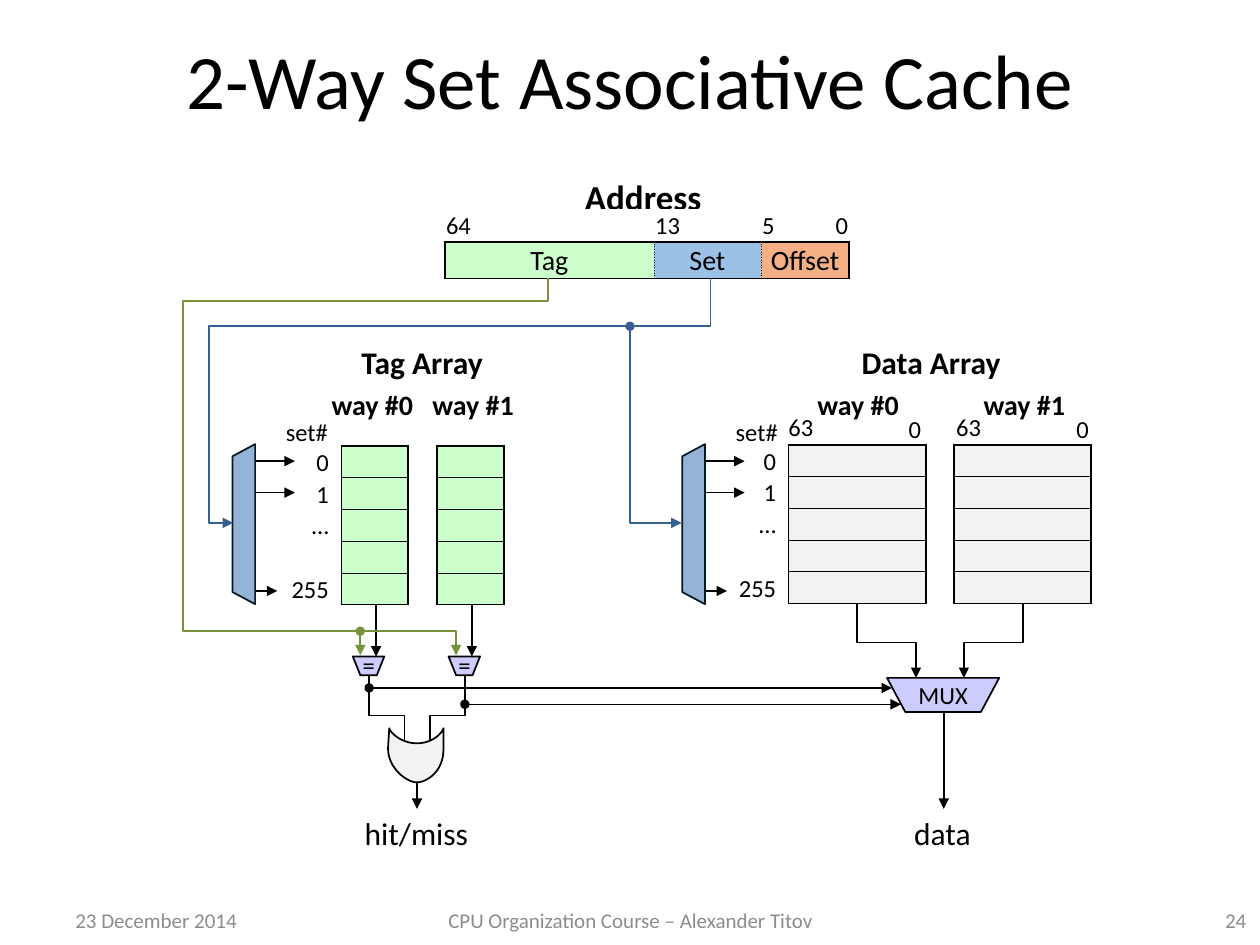
from dataclasses import dataclass
from typing import Optional

from lxml.etree import SubElement
from pptx import Presentation
from pptx.dml.color import RGBColor
from pptx.enum.shapes import MSO_CONNECTOR, MSO_SHAPE
from pptx.enum.text import MSO_ANCHOR, PP_ALIGN
from pptx.oxml.ns import qn
from pptx.util import Emu, Inches, Pt

BLACK = RGBColor(0x00, 0x00, 0x00)
WHITE = RGBColor(0xFF, 0xFF, 0xFF)
GREY = RGBColor(0x8C, 0x8C, 0x8C)
PALE = RGBColor(0xF2, 0xF2, 0xF2)
MINT = RGBColor(0xCC, 0xFF, 0xCC)
SKY = RGBColor(0x9B, 0xC2, 0xE6)
ORANGE = RGBColor(0xF4, 0xB0, 0x84)
LILAC = RGBColor(0xCC, 0xCC, 0xFF)
STEEL = RGBColor(0x95, 0xB3, 0xD7)
NAVY = RGBColor(0x06, 0x19, 0x22)
GREEN = RGBColor(0x77, 0x93, 0x3C)
BLUE = RGBColor(0x37, 0x60, 0x92)

FONT = "Calibri"
COLS, ROWS = 100, 75
LEFT, CENTER, RIGHT = PP_ALIGN.LEFT, PP_ALIGN.CENTER, PP_ALIGN.RIGHT
TOP, MIDDLE, BOTTOM = MSO_ANCHOR.TOP, MSO_ANCHOR.MIDDLE, MSO_ANCHOR.BOTTOM
SOLID, HAIR, DOTS = (1, "solid"), (0.5, "solid"), (0.5, "sysDot")

prs = Presentation()
prs.slide_width, prs.slide_height = Inches(10), Inches(7.5)
s = prs.slides.add_slide(prs.slide_layouts[6])


@dataclass
class Label:
    text: str
    x: float
    y: float
    w: float
    h: float
    size: float = 14
    align: PP_ALIGN = LEFT
    bold: bool = False
    anchor: MSO_ANCHOR = TOP
    wrap: bool = False
    color: RGBColor = BLACK


@dataclass
class Wire:
    points: list
    color: RGBColor = BLACK
    width: float = 1
    arrow: bool = True


@dataclass
class Field:
    text: str
    first: int
    last: int
    fill: RGBColor
    left: tuple
    right: tuple


def gx(c: float) -> Emu:
    return Emu(round(prs.slide_width * c / COLS))


def gy(r: float) -> Emu:
    return Emu(round(prs.slide_height * r / ROWS))


def box(x: float, y: float, w: float, h: float) -> tuple:
    return gx(x), gy(y), gx(w), gy(h)


def add_run(p, text: str, size: float, color: RGBColor = BLACK, bold: bool = False) -> None:
    r = p.add_run()
    r.text = text
    r.font.name, r.font.size, r.font.bold = FONT, Pt(size), bold
    r.font.color.rgb = color


def draw_label(b: Label) -> None:
    tf = s.shapes.add_textbox(*box(b.x, b.y, b.w, b.h)).text_frame
    tf.word_wrap, tf.vertical_anchor = b.wrap, b.anchor
    p = tf.paragraphs[0]
    p.alignment = b.align
    add_run(p, b.text, b.size, b.color, b.bold)


def draw_wire(wire: Wire) -> None:
    pts = [(gx(x), gy(y)) for x, y in wire.points]
    if len(pts) == 2:
        sp = s.shapes.add_connector(MSO_CONNECTOR.STRAIGHT, *pts[0], *pts[1])
        SubElement(sp.element.spPr, qn("a:effectLst"))
    else:
        fb = s.shapes.build_freeform(*pts[0])
        fb.add_line_segments(pts[1:], close=False)
        sp = fb.convert_to_shape()
        sp.fill.background()
        sp.shadow.inherit = False
    sp.line.color.rgb, sp.line.width = wire.color, Pt(wire.width)
    if wire.arrow:
        SubElement(sp.element.spPr.find(qn("a:ln")), qn("a:tailEnd"), type="triangle")


def paint(sp, fill: RGBColor, line: RGBColor) -> None:
    sp.shadow.inherit = False
    sp.fill.solid()
    sp.fill.fore_color.rgb = fill
    sp.line.color.rgb, sp.line.width = line, Pt(1)


def draw_trapezoid(x: float, y: float, w: float, h: float, turn: int, adj: float,
                   fill: RGBColor, line: RGBColor = BLACK) -> None:
    sp = s.shapes.add_shape(MSO_SHAPE.TRAPEZOID, *box(x, y, w, h))
    sp.rotation, sp.adjustments[0] = turn, adj
    paint(sp, fill, line)


def draw_dot(x: float, y: float, color: RGBColor) -> None:
    paint(s.shapes.add_shape(MSO_SHAPE.OVAL, *box(x - 0.3, y - 0.3, 0.6, 0.6)), color, color)


def draw_cell(cell, text: str = "", size: float = 14, align: PP_ALIGN = LEFT, anchor=MIDDLE,
              fill: Optional[RGBColor] = None, pad: float = 0.01, **edges: tuple) -> None:
    cell.margin_left = cell.margin_top = Inches(0.01)
    cell.margin_right, cell.margin_bottom = Inches(pad), 0
    cell.vertical_anchor = anchor
    p = cell.text_frame.paragraphs[0]
    p.alignment = align
    if text:
        add_run(p, text, size)
    else:
        SubElement(p._p, qn("a:endParaRPr"), sz="1000")
    tc_pr = cell._tc.get_or_add_tcPr()
    for side in "LRTB":
        width, dash = edges.get(side, (0, ""))
        ln = SubElement(tc_pr, qn(f"a:ln{side}"), w=str(Pt(width)))
        if width:
            SubElement(SubElement(ln, qn("a:solidFill")), qn("a:srgbClr"), val=str(BLACK))
            SubElement(ln, qn("a:prstDash"), val=dash)
        else:
            SubElement(ln, qn("a:noFill"))
    if fill is None:
        cell.fill.background()
    else:
        cell.fill.solid()
        cell.fill.fore_color.rgb = fill


def new_table(x: float, y: float, widths: list, heights: list):
    t = s.shapes.add_table(len(heights), len(widths),
                           *box(x, y, sum(widths), sum(heights))).table
    t.first_row = t.horz_banding = False
    for col, w in zip(t.columns, widths):
        col.width = gx(w)
    for row, h in zip(t.rows, heights):
        row.height = gy(h)
    return t


def draw_address() -> None:
    t = new_table(35.3, 16.6, [16.6, 3.4, 5.1, 3.5, 3.5], [2.6, 2.9])
    for i, bit in enumerate(["64", "13", "", "5", "0"]):
        draw_cell(t.cell(0, i), bit, align=RIGHT if i == 4 else LEFT, fill=WHITE, B=SOLID)
    for f in [Field("Tag", 0, 0, MINT, SOLID, DOTS), Field("Set", 1, 2, SKY, DOTS, DOTS),
              Field("Offset", 3, 4, ORANGE, DOTS, SOLID)]:
        if f.last > f.first:
            t.cell(1, f.first).merge(t.cell(1, f.last))
        for i in range(f.first, f.last + 1):
            draw_cell(t.cell(1, i), f.text if i == f.first else "", 16, CENTER, fill=f.fill,
                      L=f.left, R=f.right, T=SOLID, B=SOLID)


def draw_way(x: float, y: float, w: float, fill: RGBColor, foot: tuple,
             label_w: float = 0, label_fill: Optional[RGBColor] = None) -> None:
    t = new_table(x, y, [label_w, w] if label_w else [w], [2.52] * 5)
    for i, name in enumerate(["0", "1", "…", "", "255"]):
        if label_w:
            draw_cell(t.cell(i, 0), name, align=RIGHT, anchor=BOTTOM, fill=label_fill,
                      pad=0.1, R=SOLID)
        draw_cell(t.cell(i, len(t.columns) - 1), fill=fill, L=SOLID, R=SOLID,
                  T=HAIR if i else SOLID, B=foot if i == 4 else HAIR)


def draw_decoder(x: float) -> None:
    draw_label(Label("set#", x + 8.7, 32.6, 5.4, 3.4))
    draw_trapezoid(x, 40.7, 12.7, 1.8, 270, 0.535, STEEL, NAVY)
    for y, length in [(36.6, 3.1), (39.1, 3.1), (46.9, 1.7)]:
        draw_wire(Wire([(x + 7.3, y), (x + 7.3 + length, y)], width=0.75))


def draw_comparator(x: float) -> None:
    draw_wire(Wire([(x + 1.85, 48), (x + 1.85, 52.1)]))
    draw_trapezoid(x, 52.1, 2.5, 1.5, 180, 0.4, LILAC)
    draw_label(Label("=", x - 0.2, 51.1, 3, 3.4))


def bezier(a: tuple, b: tuple, c: tuple, d: tuple, steps: int = 16) -> list:
    def at(t: float) -> tuple:
        k = ((1 - t) ** 3, 3 * t * (1 - t) ** 2, 3 * t * t * (1 - t), t ** 3)
        return tuple(sum(f * q[i] for f, q in zip(k, (a, b, c, d))) for i in (0, 1))
    return [at(n / steps) for n in range(1, steps + 1)]


def draw_or_gate() -> None:
    rim_r, rim, rim_l = (35.2, 57.8), (33.1, 59), (30.9, 57.8)
    side_l, tip, side_r = (30.8, 59.4), (33.1, 62.1), (35.2, 59.5)
    outline = [rim_r, *bezier(rim_r, (35.1, 58.2), (34.3, 59), rim),
               *bezier(rim, (31.9, 59), (31, 58.2), rim_l), side_l,
               *bezier(side_l, (30.8, 61), (32.3, 62.1), tip),
               *bezier(tip, (33.8, 62.1), (35.2, 61.3), side_r)]
    pts = [(gx(x), gy(y)) for x, y in outline]
    fb = s.shapes.build_freeform(*pts[0])
    fb.add_line_segments(pts[1:], close=True)
    paint(fb.convert_to_shape(), PALE, BLACK)


draw_label(Label("2-Way Set Associative Cache", 5, 0, 90, 12.5, 44, CENTER, False, MIDDLE, True))
for text, x, w, align in [("23 December 2014", 5, 23.3, LEFT),
                          ("CPU Organization Course – Alexander Titov", 34.2, 31.7, CENTER),
                          ("24", 76.6, 23.3, RIGHT)]:
    draw_label(Label(text, x, 71, w, 4, 12, align, False, MIDDLE, True, GREY))
draw_label(Label("Address", 41.1, 13.4, 19.9, 4.4, 20, CENTER, True, wrap=True))
draw_address()

draw_way(22.5, 35.4, 5.3, MINT, HAIR, 4.6, WHITE)
draw_way(34.7, 35.4, 5.3, MINT, HAIR)
draw_way(58.5, 35.3, 10.9, PALE, SOLID, 4.1)
draw_way(75.7, 35.3, 10.9, PALE, SOLID)
for x in (13, 48.7):
    draw_decoder(x)
for x in (28, 35.6):
    draw_comparator(x)

for text, x, w in [("way #0", 24.5, 10.1), ("way #1", 32.5, 10.1),
                   ("way #0", 61.9, 12.4), ("way #1", 75.1, 12.4)]:
    draw_label(Label(text, x, 30.3, w, 3.7, 16, CENTER, True, wrap=True))
for text, x, w in [("Tag Array", 27, 13), ("Data Array", 66, 15.8)]:
    draw_label(Label(text, x, 26.7, w, 4, 18, CENTER, True, BOTTOM, True))
for x in (61.6, 74.9):
    draw_label(Label("63", x, 32.2, 4, 3.4))
    draw_label(Label("0", x + 9.5, 32.35, 3, 3.4, align=RIGHT))
for text, x, w in [("hit/miss", 27.9, 10.3), ("data", 71.5, 6.6)]:
    draw_label(Label(text, x, 64.1, w, 4, 18, CENTER))

draw_trapezoid(70.4, 53.8, 8.9, 2.7, 180, 0.535, LILAC)
draw_label(Label("MUX", 70, 53.3, 9.7, 3.6, align=CENTER, anchor=MIDDLE))

for wire in [
    Wire([(43.5, 22.1), (43.5, 23.9), (14.5, 23.9), (14.5, 50.1), (28.6, 50.1), (28.6, 52)], GREEN),
    Wire([(28.6, 50.1), (36.2, 50.1), (36.2, 52)], GREEN),
    Wire([(56.4, 22.1), (56.4, 25.9), (16.6, 25.9), (16.6, 41.5), (18.5, 41.5)], BLUE),
    Wire([(50, 25.9), (50, 41.5), (54.1, 41.5)], BLUE),
    Wire([(68, 47.9), (68, 51), (72.7, 51), (72.7, 53.8)]),
    Wire([(81.2, 47.9), (81.2, 51), (76.5, 51), (76.5, 53.8)]),
    Wire([(74.9, 56.5), (74.9, 64.2)]),
    Wire([(33.1, 61.7), (33.1, 64.2)]),
    Wire([(29.6, 54.6), (70.8, 54.6)], width=0.75),
    Wire([(37.1, 55.9), (71.5, 55.9)], width=0.75),
]:
    draw_wire(wire)
draw_or_gate()
for x, inlet in [(29.3, 32.1), (36.9, 34.1)]:
    draw_wire(Wire([(x, 53.6), (x, 56.8), (inlet, 56.8), (inlet, 58.8)], arrow=False))
for x, y, color in [(28.6, 50.1, GREEN), (50, 25.9, BLUE), (29.3, 54.6, BLACK), (36.9, 55.9, BLACK)]:
    draw_dot(x, y, color)

prs.save("out.pptx")
